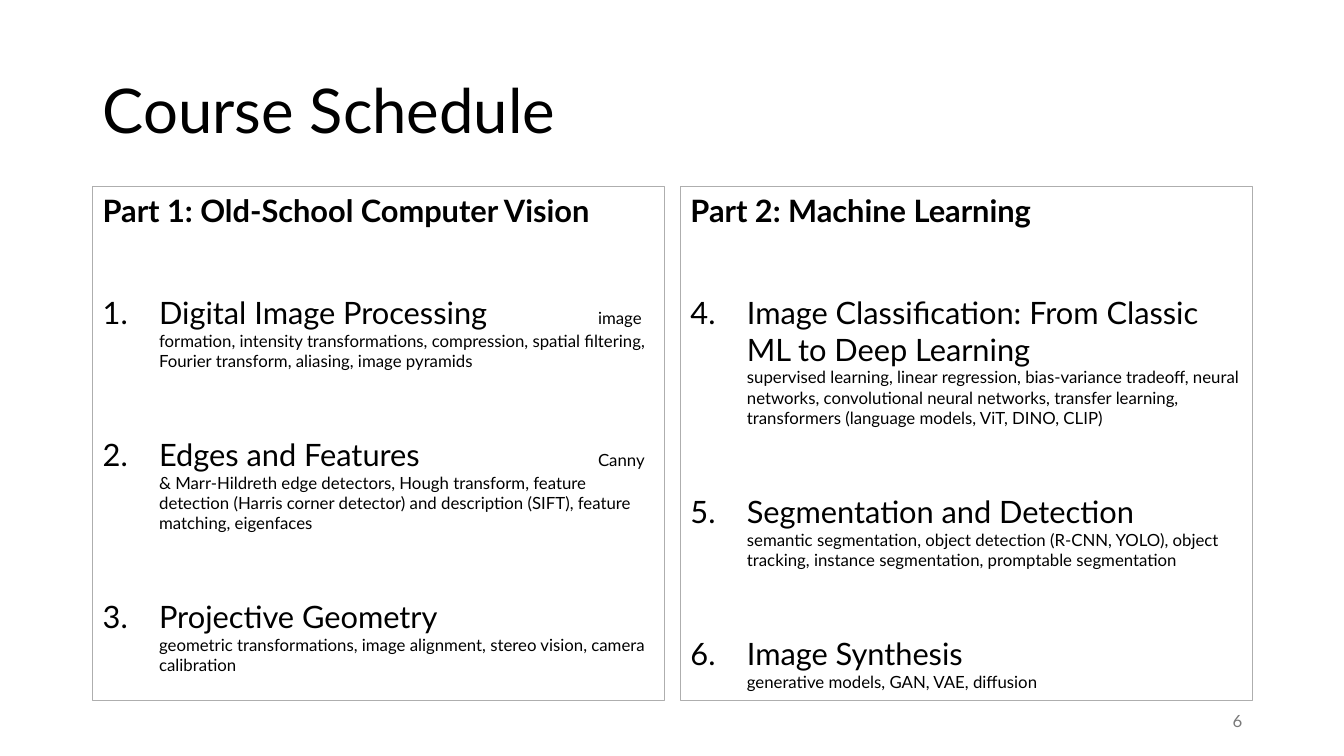
from lxml import etree
from pptx import Presentation
from pptx.dml.color import RGBColor
from pptx.enum import text as t
from pptx.oxml.ns import qn
from pptx.util import Inches, Pt

COLORS = {"ink": "000000", "edge": "AEAEAE", "page": "797979"}
FONT = "Lato"
HANG = Inches(0.56)
TAB = Inches(4.92)

# Each topic: heading, gap before the details, details
PARTS = [
    ("Part 1: Old-School Computer Vision", 1, [
        ("Digital Image Processing", "\t",
         "image formation, intensity transformations, compression, "
         "spatial filtering, Fourier transform, aliasing, image pyramids"),
        ("Edges and Features", "\t",
         "Canny & Marr-Hildreth edge detectors, Hough transform, feature "
         "detection (Harris corner detector) and description (SIFT), "
         "feature matching, eigenfaces"),
        ("Projective Geometry", "\v",
         "geometric transformations, image alignment, stereo vision, "
         "camera calibration"),
    ]),
    ("Part 2: Machine Learning", 4, [
        ("Image Classification: From Classic ML to Deep Learning", "\v",
         "supervised learning, linear regression, bias-variance tradeoff, "
         "neural networks, convolutional neural networks, transfer learning, "
         "transformers (language models, ViT, DINO, CLIP)"),
        ("Segmentation and Detection", "\v",
         "semantic segmentation, object detection (R-CNN, YOLO), object "
         "tracking, instance segmentation, promptable segmentation"),
        ("Image Synthesis", "\v", "generative models, GAN, VAE, diffusion"),
    ]),
]


def write(para, words, size=22, color="ink", bold=False):
    run = para.add_run()
    run.text = words
    run.font.name = FONT
    run.font.size = Pt(size)
    run.font.bold = bold
    run.font.color.rgb = RGBColor.from_string(COLORS[color])


def place(shape, left, top, width, height):
    shape.left, shape.top = Inches(left), Inches(top)
    shape.width, shape.height = Inches(width), Inches(height)


def number(para, start):
    """Give the paragraph a hanging automatic number and a tab stop."""
    props = para._p.get_or_add_pPr()
    props.set("marL", str(HANG))
    props.set("indent", str(-HANG))
    etree.SubElement(props, qn("a:buFont"), typeface=FONT)
    etree.SubElement(props, qn("a:buAutoNum"), type="arabicPeriod",
                     startAt=str(start))
    tabs = etree.SubElement(props, qn("a:tabLst"))
    etree.SubElement(tabs, qn("a:tab"), pos=str(TAB), algn="l")


def add_title(slide, words):
    title = slide.shapes.title
    place(title, 0.92, 0.4, 11.5, 1.45)
    frame = title.text_frame
    frame.auto_size = t.MSO_AUTO_SIZE.NONE
    frame.vertical_anchor = t.MSO_ANCHOR.MIDDLE
    para = frame.paragraphs[0]
    para.alignment = t.PP_ALIGN.LEFT
    para.line_spacing = 0.9
    write(para, words, size=44)


def add_part(slide, left, head, start, topics):
    box = slide.shapes.add_textbox(0, 0, 0, 0)
    place(box, left, 1.85, 5.67, 5.1)
    box.line.color.rgb = RGBColor.from_string(COLORS["edge"])
    box.line.width = Pt(0.75)
    frame = box.text_frame
    frame.word_wrap = True
    write(frame.paragraphs[0], head, bold=True)
    for topic, gap, details in topics:
        para = frame.add_paragraph()
        number(para, start)
        para.space_before = Pt(46.4)
        write(para, topic)
        if gap == "\v":
            para.add_line_break()
            write(para, details, size=12)
        else:
            write(para, gap + details, size=12)


def add_page(slide, words):
    box = slide.shapes.add_textbox(0, 0, 0, 0)
    place(box, 9.42, 6.95, 3, 0.4)
    box.text_frame.word_wrap = True
    box.text_frame.vertical_anchor = t.MSO_ANCHOR.MIDDLE
    para = box.text_frame.paragraphs[0]
    para.alignment = t.PP_ALIGN.RIGHT
    write(para, words, size=12, color="page")


def main():
    deck = Presentation()
    deck.slide_width, deck.slide_height = Inches(13.33), Inches(7.5)
    slide = deck.slides.add_slide(deck.slide_layouts[5])
    add_title(slide, "Course Schedule")
    for i, (head, start, topics) in enumerate(PARTS):
        add_part(slide, 0.92 + 5.83 * i, head, start, topics)
    add_page(slide, "6")
    deck.save("out.pptx")


if __name__ == "__main__":
    main()
